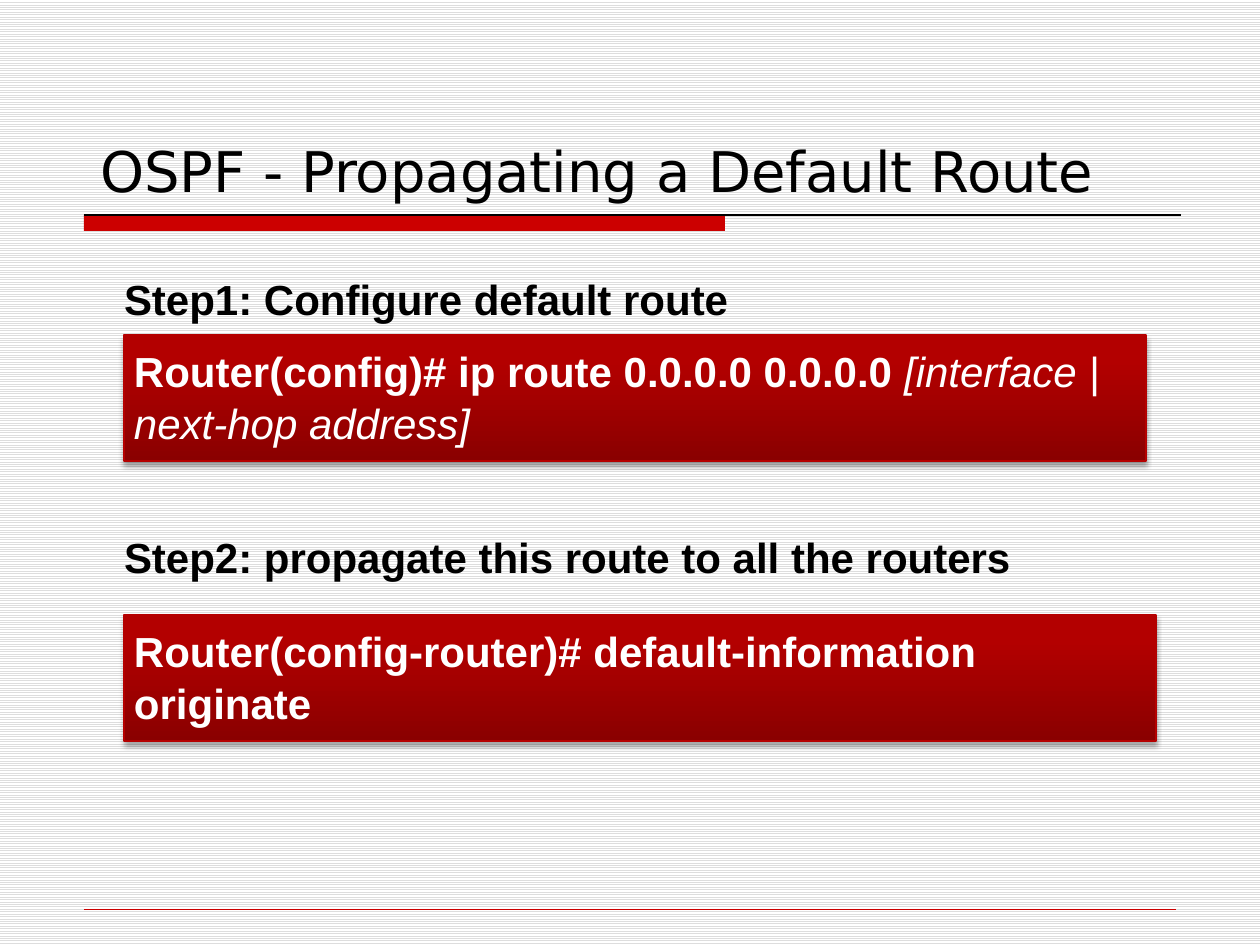
from lxml.etree import SubElement
from pptx import Presentation
from pptx.dml.color import RGBColor
from pptx.enum.dml import MSO_PATTERN
from pptx.enum.shapes import MSO_CONNECTOR, MSO_SHAPE
from pptx.enum.text import MSO_ANCHOR, PP_ALIGN
from pptx.oxml.ns import qn
from pptx.util import Pt

PX = 914400 / 126
COLORS = {
    "red": "CC0000", "dark": "8A0000", "bright": "B30000", "border": "B50000",
    "black": "000000", "white": "FFFFFF", "stripe": "DDDDDD",
}


def place(*lengths):
    return [round(length * PX) for length in lengths]


def write(shape, runs, font_name, size, color, insets, anchor):
    frame = shape.text_frame
    frame.word_wrap = True
    frame.vertical_anchor = anchor
    frame.margin_left, frame.margin_top, frame.margin_right, frame.margin_bottom = place(*insets)
    paragraph = frame.paragraphs[0]
    paragraph.alignment = PP_ALIGN.LEFT
    for text, bold, italic in runs:
        run = paragraph.add_run()
        run.text = text
        run.font.name = font_name
        run.font.size = Pt(size)
        run.font.bold = bold
        run.font.italic = italic
        run.font.color.rgb = RGBColor.from_string(COLORS[color])


presentation = Presentation()
presentation.slide_width, presentation.slide_height = place(1260, 945)
slide = presentation.slides.add_slide(presentation.slide_layouts[5])

background = slide.background.fill
background.patterned()
background.pattern = MSO_PATTERN.LIGHT_HORIZONTAL
background.fore_color.rgb = RGBColor.from_string(COLORS["stripe"])
background.back_color.rgb = RGBColor.from_string(COLORS["white"])

title_bar = slide.shapes.add_shape(MSO_SHAPE.RECTANGLE, *place(84, 215, 641, 16))
title_bar.fill.solid()
title_bar.fill.fore_color.rgb = RGBColor.from_string(COLORS["red"])
title_bar.line.fill.background()
title_bar.shadow.inherit = False

for right, y, color, width in [(1181, 215, "black", 0.75), (1176, 909, "red", 0.25)]:
    rule = slide.shapes.add_connector(MSO_CONNECTOR.STRAIGHT, *place(84, y, right, y))
    rule.line.color.rgb = RGBColor.from_string(COLORS[color])
    rule.line.width = Pt(width)
    SubElement(rule._element.spPr, qn("a:effectLst"))

commands = [
    (335, 1022, [("Router(config)# ip route 0.0.0.0 0.0.0.0", True, False),
                 (" [interface | next-hop address]", False, True)]),
    (615, 1032, [("Router(config-router)# default-information originate", True, False)]),
]
for top, width, runs in commands:
    box = slide.shapes.add_shape(MSO_SHAPE.RECTANGLE, *place(124, top, width, 126))
    box.fill.gradient()
    box.fill.gradient_angle = 90
    for stop, position, color in zip(box.fill.gradient_stops, (0, 0.8), ("dark", "bright")):
        stop.position = position
        stop.color.rgb = RGBColor.from_string(COLORS[color])
    box.line.color.rgb = RGBColor.from_string(COLORS["border"])
    box.line.width = Pt(0.75)
    box.shadow.inherit = False
    effects = box._element.spPr.find(qn("a:effectLst"))
    shadow = SubElement(effects, qn("a:outerShdw"), blurRad=str(Pt(3.1)), dist=str(Pt(1.8)),
                        dir="5400000", rotWithShape="0")
    shadow_color = SubElement(shadow, qn("a:srgbClr"), val=COLORS["black"])
    SubElement(shadow_color, qn("a:alpha"), val="35000")
    write(box, runs, "Arial", 24, "white", (10, 10, 10, 15), MSO_ANCHOR.MIDDLE)
    box.text_frame.paragraphs[0].line_spacing = 1.05

steps = [
    (269, "Step1: Configure default route"),
    (527, "Step2: propagate this route to all the routers"),
]
for top, text in steps:
    label = slide.shapes.add_textbox(*place(114, top, 1091, 60))
    write(label, [(text, True, False)], "Arial", 24, "black", (10, 5, 10, 5), MSO_ANCHOR.TOP)

title = slide.shapes.title
title.left, title.top, title.width, title.height = place(88, 42, 1092, 167)
write(title, [("OSPF - Propagating a Default Route", False, False)],
      "DejaVu Sans", 32, "black", (12, 5, 12, 5), MSO_ANCHOR.BOTTOM)

presentation.save("out.pptx")
